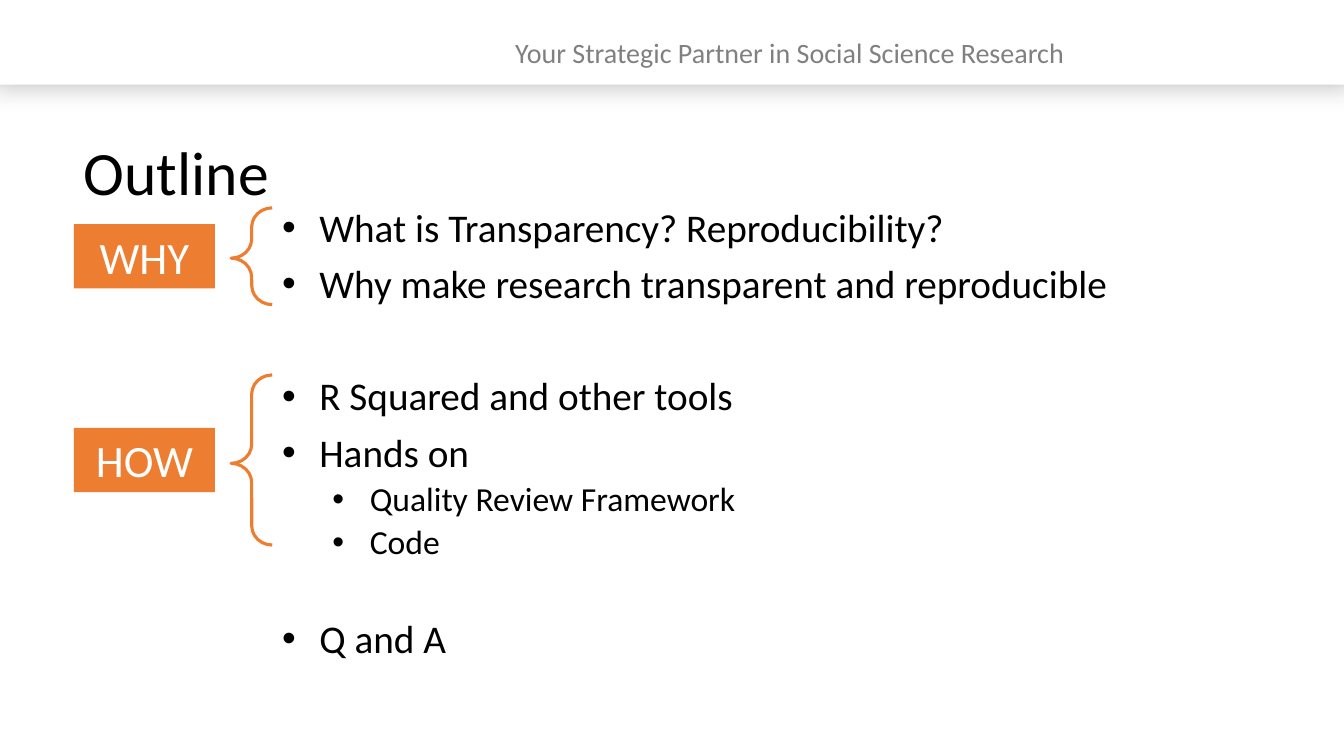
from lxml import etree
from pptx import Presentation
from pptx.dml.color import RGBColor
from pptx.enum.shapes import MSO_SHAPE
from pptx.enum.text import MSO_ANCHOR, PP_ALIGN
from pptx.oxml.ns import qn
from pptx.util import Inches, Pt

RECTANGLE, LEFT_BRACE = MSO_SHAPE.RECTANGLE, MSO_SHAPE.LEFT_BRACE
MIDDLE, CENTER = MSO_ANCHOR.MIDDLE, PP_ALIGN.CENTER

WHITE = RGBColor(0xFF, 0xFF, 0xFF)
BLACK = RGBColor(0x00, 0x00, 0x00)
GRAY = RGBColor(0x80, 0x80, 0x80)
ORANGE = RGBColor(0xED, 0x7D, 0x31)

FONT = "Calibri"
WIDTH, HEIGHT = Inches(13.33), Inches(7.5)

# Positions below are percentages of the slide's width and height
LABEL_LEFT, LABEL_WIDTH, LABEL_HEIGHT = 5.5, 10.5, 8.5
BRACE_LEFT, BRACE_WIDTH = 17.2, 3.05

# Label, top and height of its brace
GROUPS = [("WHY", 27.5, 12.8), ("HOW", 49.6, 22.5)]

# Text, level, space before in points
OUTLINE = [
    ("What is Transparency? Reproducibility?", 0, 0),
    ("Why make research transparent and reproducible", 0, 10),
    ("R Squared and other tools", 0, 50),
    ("Hands on", 0, 10),
    ("Quality Review Framework", 1, 5),
    ("Code", 1, 5),
    ("Q and A", 0, 41),
]
LEVEL_SIZES = [28, 24]
LEVEL_INDENTS = [0.37, 0.87]
HANGING = 0.37


def place(left, top, width, height):
    """Turn percentages of the slide into lengths."""
    return (int(WIDTH * left / 100), int(HEIGHT * top / 100),
            int(WIDTH * width / 100), int(HEIGHT * height / 100))


def write(paragraph, text, size, color, **layout):
    paragraph.text = text
    for name, value in layout.items():
        setattr(paragraph, name, value)
    font_format = {"name": FONT, "size": Pt(size)}
    for name, value in font_format.items():
        setattr(paragraph.runs[0].font, name, value)
    paragraph.runs[0].font.color.rgb = color


def add_text_frame(slide, box):
    frame = slide.shapes.add_textbox(*place(*box)).text_frame
    frame.word_wrap = True
    return frame


def add_block(slide, box, color):
    shape = slide.shapes.add_shape(RECTANGLE, *place(*box))
    shape.shadow.inherit = False
    shape.fill.solid()
    shape.fill.fore_color.rgb = color
    shape.line.fill.background()
    return shape


def add_soft_shadow(shape):
    effects = shape._element.spPr.find(qn("a:effectLst"))
    shadow = etree.SubElement(effects, qn("a:outerShdw"), blurRad=str(Pt(20)),
                              dist="0", dir="5400000", rotWithShape="0")
    color = etree.SubElement(shadow, qn("a:srgbClr"), val=str(GRAY))
    etree.SubElement(color, qn("a:alpha"), val="56000")


def add_header(slide):
    bar = add_block(slide, (-0.6, -1.2, 101.25, 12.4), WHITE)
    add_soft_shadow(bar)
    frame = add_text_frame(slide, (37.6, 4.5, 62.4, 6.8))
    write(frame.paragraphs[0], "Your Strategic Partner in Social Science Research",
          20, GRAY, line_spacing=0.9)


def add_title(slide):
    frame = add_text_frame(slide, (5.5, 18.1, 87.7, 19.3))
    write(frame.paragraphs[0], "Outline", 44, BLACK, line_spacing=0.9)


def add_bullet(paragraph, level):
    properties = paragraph._p.get_or_add_pPr()
    properties.set("marL", str(Inches(LEVEL_INDENTS[level])))
    properties.set("indent", str(-Inches(HANGING)))
    etree.SubElement(properties, qn("a:buFont"), typeface="Arial")
    etree.SubElement(properties, qn("a:buChar"), char="•")


def add_outline(slide):
    frame = add_text_frame(slide, (20.25, 26.9, 64.6, 62.7))
    for index, (text, level, space) in enumerate(OUTLINE):
        paragraph = frame.add_paragraph() if index else frame.paragraphs[0]
        add_bullet(paragraph, level)
        write(paragraph, text, LEVEL_SIZES[level], BLACK, level=level,
              line_spacing=0.9, space_before=Pt(space))


def add_brace(slide, top, height):
    brace = slide.shapes.add_shape(
        LEFT_BRACE, *place(BRACE_LEFT, top, BRACE_WIDTH, height))
    brace.shadow.inherit = False
    brace.adjustments[0], brace.adjustments[1] = 0.47, 0.52
    brace.fill.background()
    brace.line.color.rgb = ORANGE
    brace.line.width = Pt(2.25)


def add_label(slide, text, middle):
    box = (LABEL_LEFT, middle - LABEL_HEIGHT / 2, LABEL_WIDTH, LABEL_HEIGHT)
    frame = add_block(slide, box, ORANGE).text_frame
    frame.vertical_anchor = MIDDLE
    write(frame.paragraphs[0], text, 32, WHITE, alignment=CENTER)


def main():
    presentation = Presentation()
    presentation.slide_width, presentation.slide_height = WIDTH, HEIGHT
    slide = presentation.slides.add_slide(presentation.slide_layouts[6])

    # Header, title and bullet list
    add_header(slide)
    add_title(slide)
    add_outline(slide)

    # Braces with their labels centred on them
    for text, top, height in GROUPS:
        add_brace(slide, top, height)
        add_label(slide, text, top + height / 2)

    presentation.save("out.pptx")


if __name__ == "__main__":
    main()
